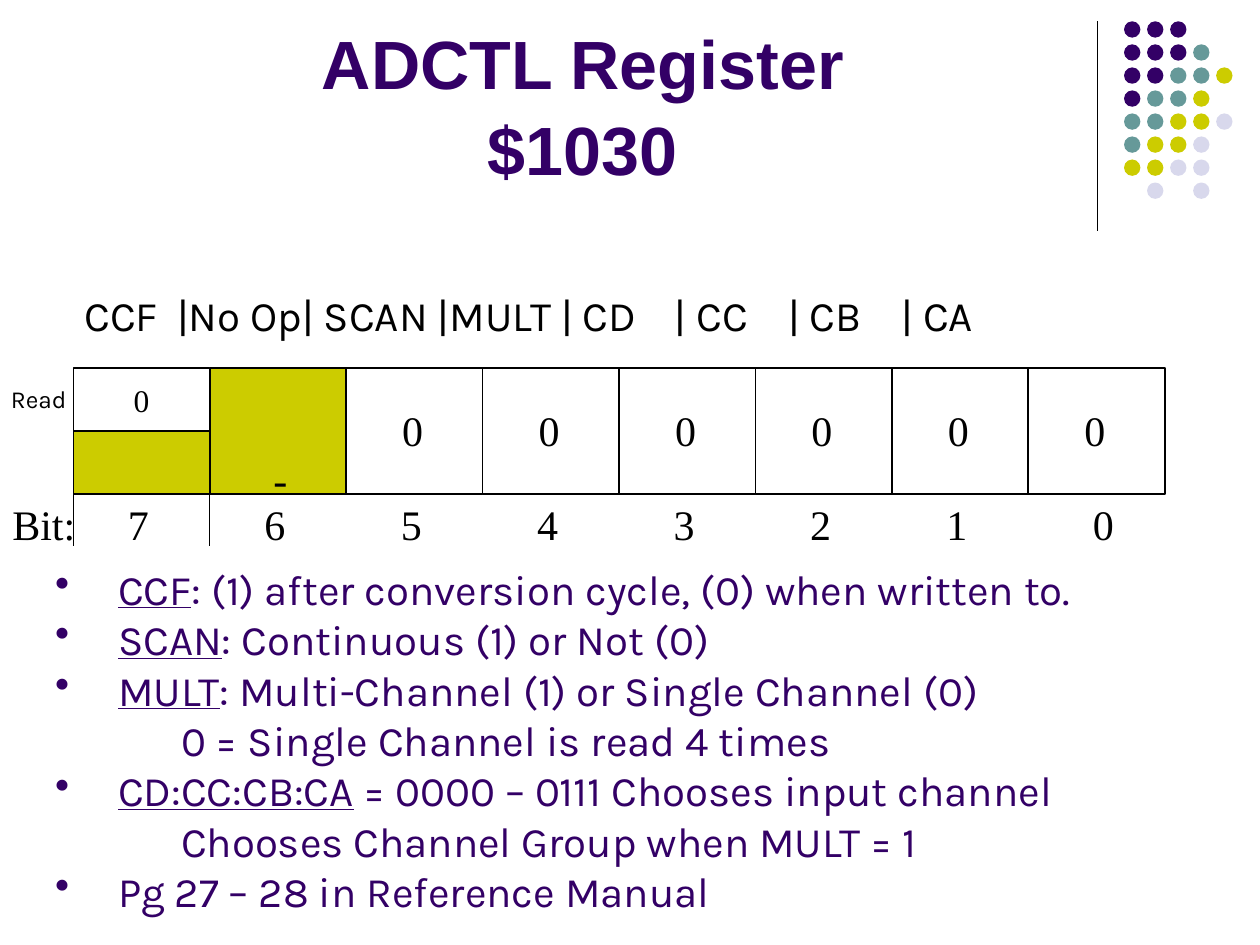
from lxml.etree import SubElement
from pptx import Presentation
from pptx.dml.color import RGBColor
from pptx.enum.shapes import MSO_CONNECTOR as Connector, MSO_SHAPE as Shape
from pptx.enum.text import MSO_ANCHOR as Anchor, PP_ALIGN as Align
from pptx.oxml.ns import qn
from pptx.util import Cm, Pt

BLACK = RGBColor(0x00, 0x00, 0x00)
WHITE = RGBColor(0xFF, 0xFF, 0xFF)
PURPLE = RGBColor(0x33, 0x00, 0x66)
TEAL = RGBColor(0x66, 0x99, 0x99)
OLIVE = RGBColor(0xCC, 0xCC, 0x00)
LAVENDER = RGBColor(0xD8, 0xD8, 0xEC)

SANS, SERIF, HEADING = "Karla", "Times New Roman", "Arial"
DOT_COLOURS = {"P": PURPLE, "T": TEAL, "O": OLIVE, "L": LAVENDER}
DOT_ROWS = ["PPP", "PPPT", "PPTTO", "PTTO", "TTOOL", "TOOL", "OOLL", " L L"]
DOT_PITCH = 3.25 / 7

REGISTER_LEFT, REGISTER_TOP = 1.48, 7.42
BIT_WIDTH, BIT_HEIGHT = 2.75, 2.54

NOTES = [
    ("CCF", ": (1) after conversion cycle, (0) when written to."),
    ("SCAN", ": Continuous (1) or Not (0)"),
    ("MULT", ": Multi-Channel (1) or Single Channel (0)"),
    (None, "0 = Single Channel is read 4 times"),
    ("CD:CC:CB:CA", " = 0000 – 0111 Chooses input channel"),
    (None, "Chooses Channel Group when MULT = 1"),
    ("", "Pg 27 – 28 in Reference Manual"),
]


def style_run(run, font, size, colour):
    """Give a run its typeface, size and colour."""
    run.font.name = font
    run.font.size = Pt(size)
    run.font.color.rgb = colour


def add_label(slide, text, left, top, width, height, font=SERIF, size=24,
              colour=BLACK, align=Align.LEFT):
    """Add a one-paragraph text box and return its paragraph."""
    label = slide.shapes.add_textbox(Cm(left), Cm(top), Cm(width), Cm(height))
    label.text_frame.word_wrap = True
    paragraph = label.text_frame.paragraphs[0]
    paragraph.text = text
    paragraph.alignment = align
    for run in paragraph.runs:
        style_run(run, font, size, colour)
    return paragraph


def add_block(slide, kind, left, top, width, height, fill, line_width=0):
    """Add a filled shape, outlined in black when a line width is given."""
    block = slide.shapes.add_shape(kind, Cm(left), Cm(top), Cm(width), Cm(height))
    block.shadow.inherit = False
    block.fill.solid()
    block.fill.fore_color.rgb = fill
    if line_width:
        block.line.color.rgb = BLACK
        block.line.width = Pt(line_width)
    else:
        block.line.fill.background()
    return block


def add_rule(slide, x, top, bottom):
    """Add a thin vertical black line."""
    rule = slide.shapes.add_connector(
        Connector.STRAIGHT, Cm(x), Cm(top), Cm(x), Cm(bottom))
    rule.line.color.rgb = BLACK
    rule.line.width = Pt(0.75)
    SubElement(rule.element.spPr, qn("a:effectLst"))


def add_dots(slide):
    """Draw the corner ornament of coloured dots."""
    for row, colours in enumerate(DOT_ROWS):
        for column, key in enumerate(colours):
            if key in DOT_COLOURS:
                add_block(slide, Shape.OVAL, 22.66 + column * DOT_PITCH,
                          0.43 + row * DOT_PITCH, 0.33, 0.33, DOT_COLOURS[key])


def add_title(slide):
    """Add the two-line title."""
    title = add_label(slide, "ADCTL Register\v$1030", 1.27, 0.33, 20.96, 3.61,
                      HEADING, 39, PURPLE, Align.CENTER)
    title.font.bold = True
    title.line_spacing = 1.05
    for run in title.runs:
        run.font.bold = True
    slide.shapes[-1].text_frame.vertical_anchor = Anchor.BOTTOM


def add_bit_names(slide):
    """Add the row of bit names, aligned by tab stops."""
    names = add_label(slide, "CCF\t|No Op| SCAN |MULT | CD\t| CC\t| CB\t| CA",
                      1.45, 5.72, 21.34, 1.27, SANS)
    tabs = SubElement(names._p.get_or_add_pPr(), qn("a:tabLst"))
    for stop in (1.87, 11.9, 14.19, 16.47):
        SubElement(tabs, qn("a:tab"), pos=str(Cm(stop)), algn="l")


def add_register(slide):
    """Draw the eight register bits with their values and numbers."""
    half = BIT_HEIGHT / 2
    middle = REGISTER_TOP + half
    for column in range(8):
        left = REGISTER_LEFT + column * BIT_WIDTH
        if column > 0:
            add_block(slide, Shape.RECTANGLE, left, REGISTER_TOP, BIT_WIDTH,
                      BIT_HEIGHT, OLIVE if column == 1 else WHITE, 1)
        if column > 1:
            add_label(slide, "0", left + 0.3, 8.03, 2.08, 1.27, align=Align.CENTER)
        nudge = 0.2 if column == 7 else 0
        add_label(slide, str(7 - column), left + 0.85 + nudge, 9.93, 1.07, 1.27)
    for x in (REGISTER_LEFT, REGISTER_LEFT + BIT_WIDTH):
        add_rule(slide, x, middle, 11)
    flag = add_block(slide, Shape.RECTANGLE, REGISTER_LEFT, REGISTER_TOP,
                     BIT_WIDTH, half, WHITE, 0.75)
    flag.text_frame.text = "0"
    flag.text_frame.vertical_anchor = Anchor.MIDDLE
    flag_value = flag.text_frame.paragraphs[0]
    flag_value.alignment = Align.CENTER
    style_run(flag_value.runs[0], SERIF, 18, BLACK)
    add_block(slide, Shape.RECTANGLE, REGISTER_LEFT, middle, BIT_WIDTH, half,
              OLIVE, 0.75)
    add_label(slide, "-", 5.26, 9.02, 1.07, 1.27)
    add_label(slide, "Read", -0.03, 7.62, 1.75, 0.86, SANS, 14)
    add_label(slide, "Bit:", 0, 9.93, 1.91, 1.27)


def add_notes_list(slide):
    """Add the bulleted explanations with underlined bit names."""
    box = slide.shapes.add_textbox(Cm(0.86), Cm(11.23), Cm(21.77), Cm(7.37))
    frame = box.text_frame
    frame.word_wrap = True
    for index, (term, detail) in enumerate(NOTES):
        paragraph = frame.paragraphs[0] if index == 0 else frame.add_paragraph()
        properties = paragraph._p.get_or_add_pPr()
        if term is None:
            properties.set("marL", str(Cm(2.54)))
        else:
            properties.set("marL", str(Cm(1.27)))
            properties.set("indent", str(Cm(-1.27)))
            colour = SubElement(properties, qn("a:buClr"))
            SubElement(colour, qn("a:srgbClr"), val=str(PURPLE))
            SubElement(properties, qn("a:buChar"), char="•")
        for text in filter(None, (term, detail)):
            run = paragraph.add_run()
            run.text = text
            style_run(run, SANS, 24, PURPLE)
            run.font.underline = text == term


def main():
    """Build the register slide and save it."""
    deck = Presentation()
    deck.slide_width, deck.slide_height = Cm(25.4), Cm(19.05)
    slide = deck.slides.add_slide(deck.slide_layouts[6])
    add_rule(slide, 22.12, 0.43, 4.65)
    add_dots(slide)
    add_title(slide)
    add_bit_names(slide)
    add_register(slide)
    add_notes_list(slide)
    deck.save("out.pptx")


if __name__ == "__main__":
    main()
